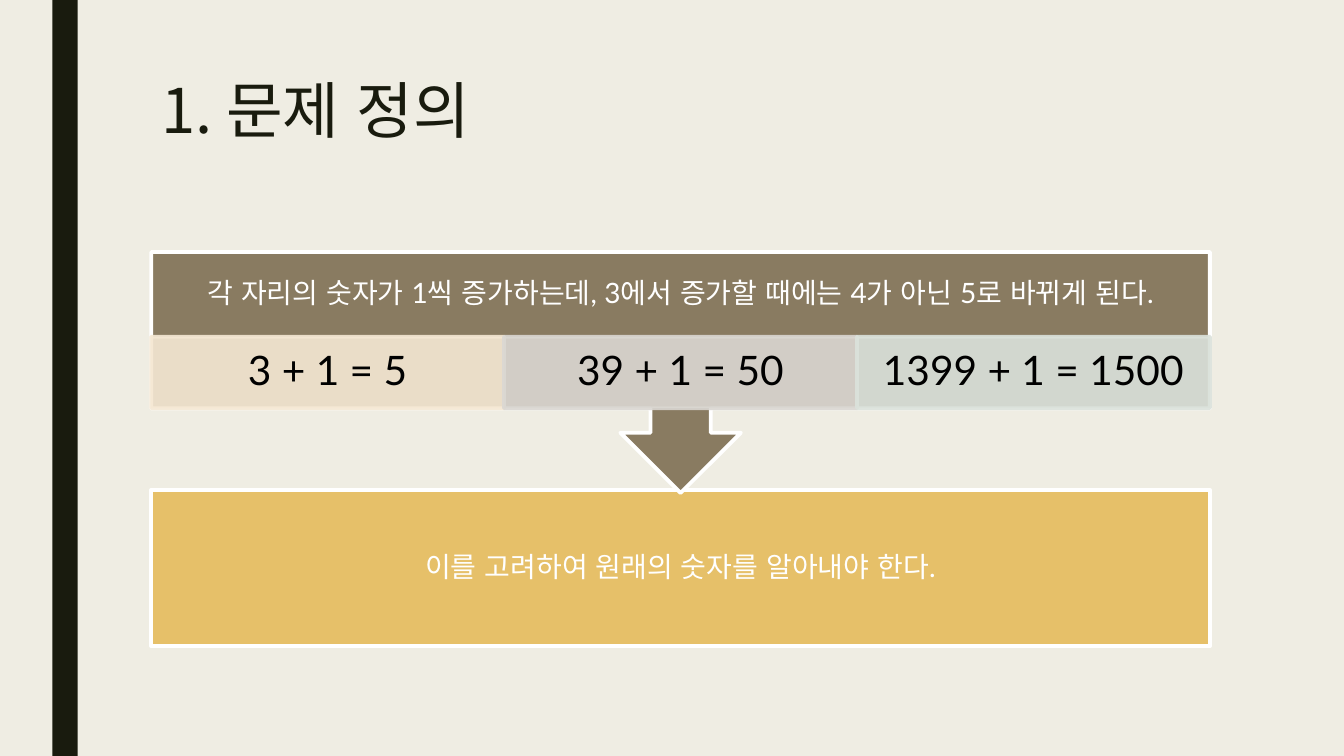
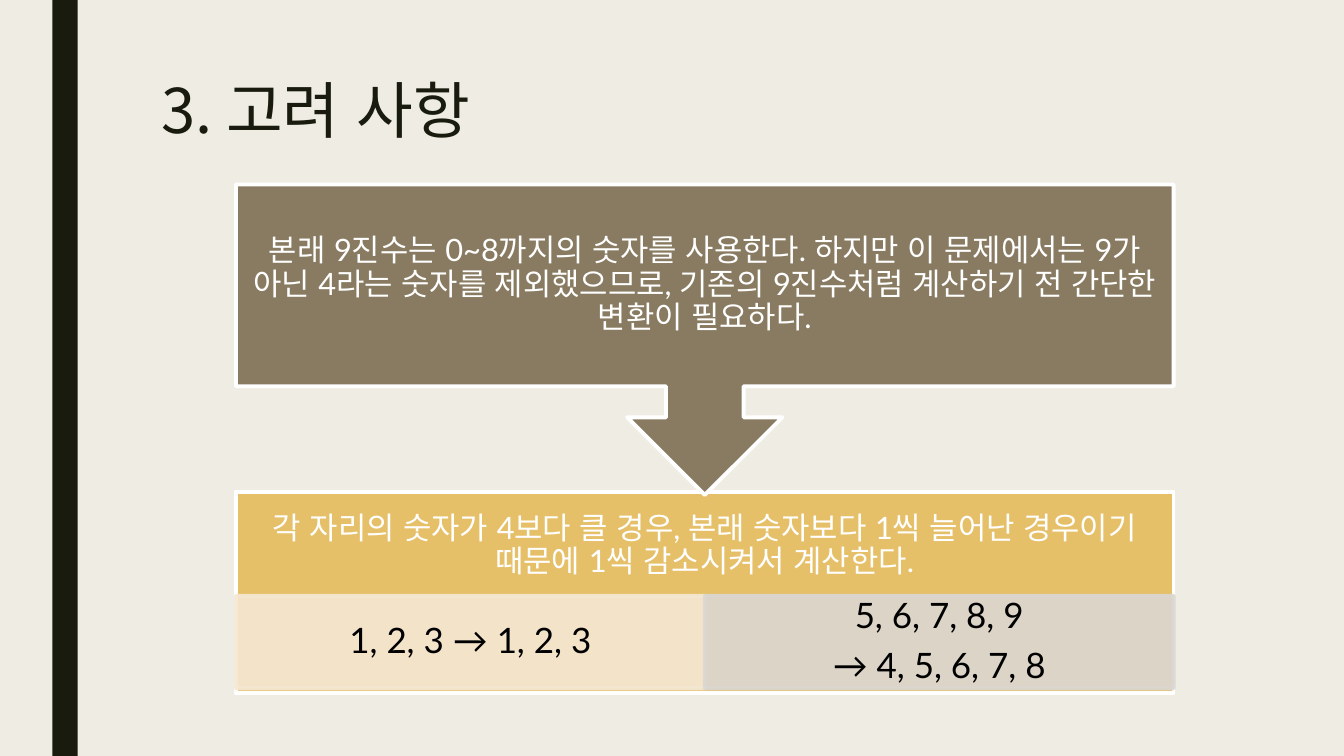
"""Builds two slides on a digit puzzle: its definition and what to consider."""
from dataclasses import dataclass

from lxml.etree import SubElement
from pptx import Presentation
from pptx.dml.color import RGBColor as Rgb
from pptx.enum.lang import MSO_LANGUAGE_ID as Lang
from pptx.enum.shapes import MSO_SHAPE as Shape
from pptx.enum.text import MSO_ANCHOR as Anchor, PP_ALIGN as Align
from pptx.oxml.ns import qn
from pptx.util import Inches, Pt


@dataclass(frozen=True)
class Theme:
    paper: str = "EFEDE3"
    ink: str = "191B0E"
    brown: str = "897B61"
    gold: str = "E6C069"
    white: str = "FFFFFF"
    black: str = "000000"
    tints: tuple = ("F5E8D4", "DAD7D2", "DBE2DB")
    tint_opacity: int = 90
    latin: str = "Lato"
    korean: str = "Noto Sans CJK KR"
    title_size: int = 44
    outline: float = 2.75


def write(holder, text, *, size, color, font, korean, align=Align.CENTER,
          anchor=Anchor.MIDDLE, insets=(0.1, 0.05), leading=0.9, after=0.35):
    frame = holder.text_frame
    frame.word_wrap = True
    frame.vertical_anchor = anchor
    frame.margin_left = frame.margin_right = Inches(insets[0])
    frame.margin_top = frame.margin_bottom = Inches(insets[1])
    for index, line in enumerate(text.split("\n")):
        paragraph = frame.add_paragraph() if index else frame.paragraphs[0]
        paragraph.alignment = align
        paragraph.line_spacing = leading
        paragraph.space_after = Pt(size * after)
        run = paragraph.add_run()
        run.text = line
        run.font.size = Pt(size)
        run.font.color.rgb = Rgb.from_string(color)
        run.font.name = font
        run.font.language_id = Lang.KOREAN
        SubElement(run._r.get_or_add_rPr(), qn("a:ea"), typeface=korean)


class Deck:
    def __init__(self, theme):
        self.theme = theme
        self.file = Presentation()
        self.file.slide_width, self.file.slide_height = Inches(13.33), Inches(7.5)
        paper = self.file.slide_master.background.fill
        paper.solid()
        paper.fore_color.rgb = Rgb.from_string(theme.paper)
        self.slide = None

    def start(self, title):
        self.slide = self.file.slides.add_slide(self.file.slide_layouts[6])
        self.block((0.52, 0, 0.25, 7.5), self.theme.ink)
        self.label((1.5, 0.75, 10.5, 1.62), title, size=self.theme.title_size,
                   color=self.theme.ink, font=self.theme.korean, leading=0.89,
                   after=0, align=Align.LEFT, anchor=Anchor.TOP)

    def block(self, place, fill, line=None, kind=Shape.RECTANGLE, opacity=100):
        block = self.slide.shapes.add_shape(kind, *map(Inches, place))
        block.shadow.inherit = False
        block.fill.solid()
        block.fill.fore_color.rgb = Rgb.from_string(fill)
        if line:
            block.line.color.rgb = Rgb.from_string(line)
            block.line.width = Pt(self.theme.outline)
        else:
            block.line.fill.background()
        if opacity < 100:
            for color in block._element.spPr.iter(qn("a:srgbClr")):
                SubElement(color, qn("a:alpha"), val=str(opacity * 1000))
        return block

    def label(self, place, text, **style):
        box = self.slide.shapes.add_textbox(*map(Inches, place))
        self.fill_in(box, text, **style)

    def fill_in(self, holder, text, **style):
        write(holder, text, **{"font": self.theme.latin,
                               "korean": self.theme.korean, **style})

    def panel(self, place, text, text_height, size, inset):
        self.block(place, self.theme.gold, self.theme.white)
        self.statement(place, text, text_height, size, inset)

    def callout(self, place, text, text_height, size, inset):
        arrow = self.block(place, self.theme.brown, self.theme.white,
                           Shape.UP_ARROW_CALLOUT)
        arrow.rotation = 180
        self.statement(place, text, text_height, size, inset)

    def statement(self, place, text, height, size, inset):
        self.label((*place[:3], height), text, size=size,
                   color=self.theme.white, insets=(inset, inset))

    def examples(self, place, texts, size, insets):
        left, top, width, height = place
        step = width / len(texts)
        for index, (text, tint) in enumerate(zip(texts, self.theme.tints)):
            cell = self.block((left + index * step, top, step, height), tint,
                              tint, opacity=self.theme.tint_opacity)
            self.fill_in(cell, text, size=size, color=self.theme.black,
                         insets=insets)


def main():
    deck = Deck(Theme())

    deck.start("1. 문제 정의")
    deck.panel((1.5, 4.86, 10.5, 1.55),
               "이를 고려하여 원래의 숫자를 알아내야 한다.", 1.55, 20, 0.16)
    deck.callout((1.5, 2.5, 10.5, 2.39),
                 "각 자리의 숫자가 1씩 증가하는데, 3에서 증가할 때에는 "
                 "4가 아닌 5로 바뀌게 된다.", 0.84, 20, 0.16)
    deck.examples((1.5, 3.34, 10.5, 0.71),
                  ["3 + 1 = 5", "39 + 1 = 50", "1399 + 1 = 1500"],
                  29, (0.23, 0.04))

    deck.start("3. 고려 사항")
    deck.panel((2.34, 4.88, 9.3, 2),
               "각 자리의 숫자가 4보다 클 경우, 본래 숫자보다 1씩 늘어난 "
               "경우이기 때문에 1씩 감소시켜서 계산한다.", 1.08, 22, 0.17)
    deck.examples((2.34, 5.91, 9.3, 0.92),
                  ["1, 2, 3 → 1, 2, 3", "5, 6, 7, 8, 9\n→ 4, 5, 6, 7, 8"],
                  25, (0.19, 0.03))
    deck.callout((2.34, 1.83, 9.3, 3.08),
                 "본래 9진수는 0~8까지의 숫자를 사용한다. 하지만 이 문제에서는 "
                 "9가 아닌 4라는 숫자를 제외했으므로, 기존의 9진수처럼 계산하기 전 "
                 "간단한 변환이 필요하다.", 2, 22, 0.17)

    deck.file.save("out.pptx")


if __name__ == "__main__":
    main()
